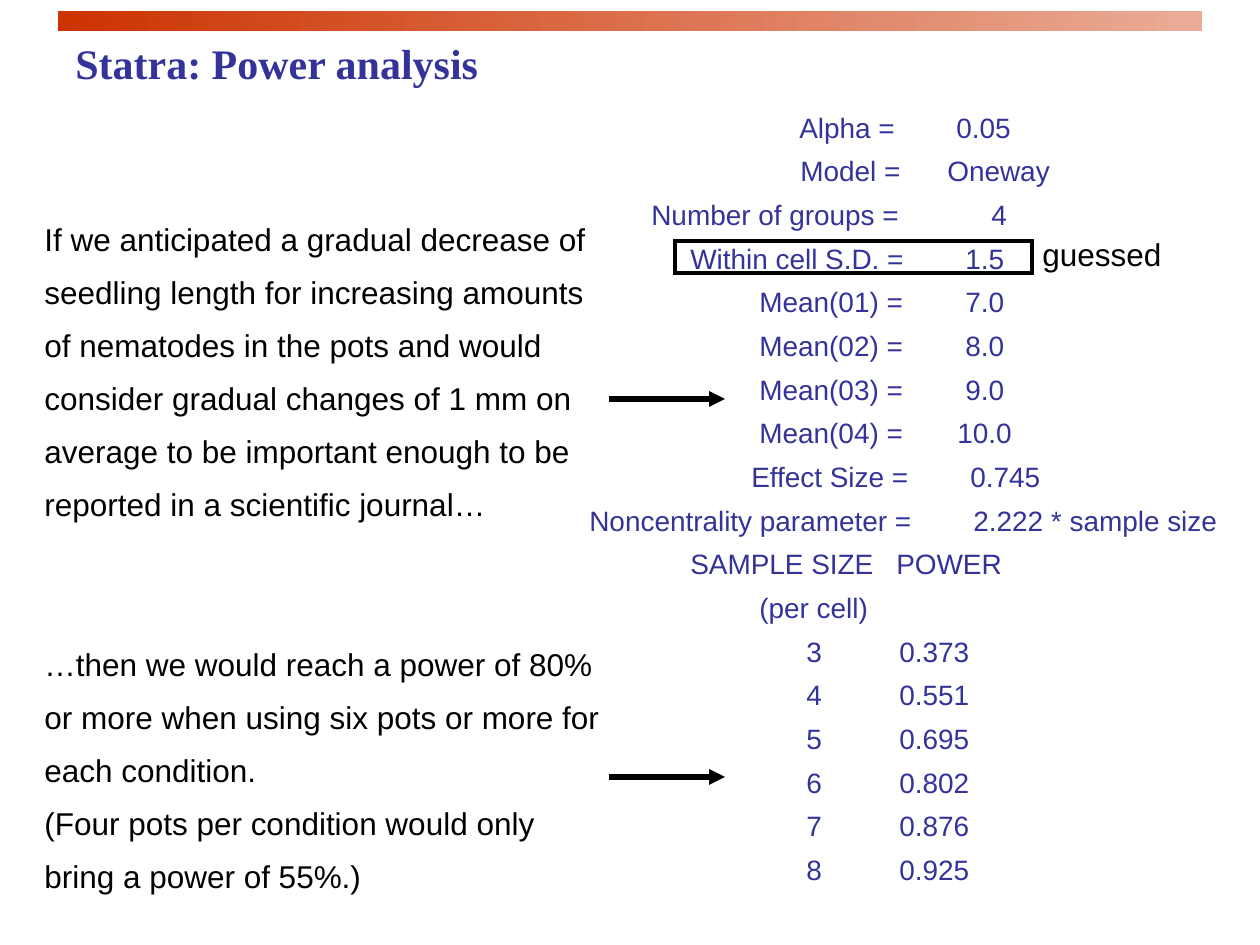
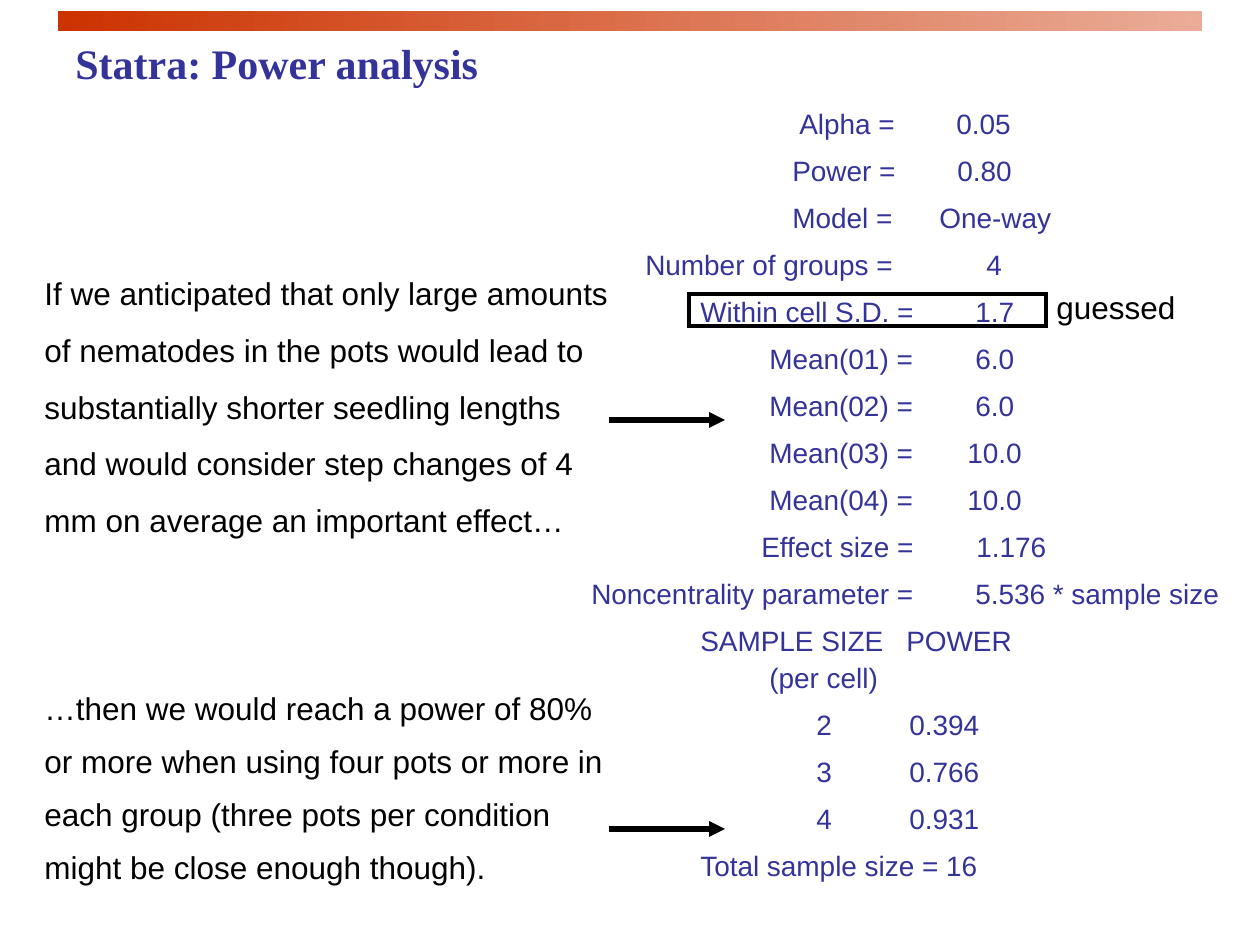
from lxml import etree
from pptx import Presentation
from pptx.dml.color import RGBColor
from pptx.enum import shapes, text
from pptx.oxml import ns
from pptx.util import Pt

EMU_PER_PX = 914400 / 126
INDIGO = "333399"
BLACK = "000000"
BAND_START = "CC3300"
BAND_END = "EAAC97"

MEAN_X = 200
COUNT_X = 247
HEADING_X = 131
POWER_X = 337

GRADUAL = {
    "report_box": (547, 94, 693, 799),
    "spacing": 1.3,
    "rows": [
        ("Alpha =", 240, "0.05", 397),
        ("Model =", 241, "Oneway", 388),
        ("Number of groups =", 92, "4", 432),
        ("Within cell S.D. =", HEADING_X, "1.5", 406),
        ("Mean(01) =", MEAN_X, "7.0", 406),
        ("Mean(02) =", MEAN_X, "8.0", 406),
        ("Mean(03) =", MEAN_X, "9.0", 406),
        ("Mean(04) =", MEAN_X, "10.0", 398),
        ("Effect Size =", 192, "0.745", 411),
        ("Noncentrality parameter =", 30, "2.222 * sample size", 414),
        ("SAMPLE SIZE", HEADING_X, "POWER", POWER_X),
        ("(per cell)", MEAN_X, "", 0),
    ],
    "powers": [("3", "0.373"), ("4", "0.551"), ("5", "0.695"),
               ("6", "0.802"), ("7", "0.876"), ("8", "0.925")],
    "total": [],
    "tight_rows": {},
    "frame_at": (675, 241),
    "notes": [
        ((32, 199, 590, 330), 1.4, 399, [
            "If we anticipated a gradual decrease of seedling length for increasing "
            "amounts of nematodes in the pots and would consider gradual changes of "
            "1 mm on average to be important enough to be reported in a scientific journal…"]),
        ((32, 624, 590, 277), 1.4, 777, [
            "…then we would reach a power of 80% or more when using six pots or more "
            "for each condition.",
            "(Four pots per condition would only bring a power of 55%.)"]),
    ],
}

STEP = {
    "report_box": (557, 87, 683, 801),
    "spacing": 1.4,
    "rows": [
        ("Alpha =", 230, "0.05", 387),
        ("Power =", 223, "0.80", 388),
        ("Model =", 223, "One-way", 370),
        ("Number of groups =", 76, "4", 417),
        ("Within cell S.D. =", HEADING_X, "1.7", 406),
        ("Mean(01) =", MEAN_X, "6.0", 406),
        ("Mean(02) =", MEAN_X, "6.0", 406),
        ("Mean(03) =", MEAN_X, "10.0", 398),
        ("Mean(04) =", MEAN_X, "10.0", 398),
        ("Effect size =", 192, "1.176", 407),
        ("Noncentrality parameter =", 22, "5.536 * sample size", 406),
        ("SAMPLE SIZE", HEADING_X, "POWER", POWER_X),
        ("(per cell)", MEAN_X, "", 0),
    ],
    "powers": [("2", "0.394"), ("3", "0.766"), ("4", "0.931")],
    "total": [("Total sample size = 16", HEADING_X, "", 0)],
    "tight_rows": {"(per cell)": 1.1},
    "frame_at": (689, 294),
    "notes": [
        ((32, 249, 590, 296), 1.5, 420, [
            "If we anticipated that only large amounts of nematodes in the pots would "
            "lead to substantially shorter seedling lengths and would consider step "
            "changes of 4 mm on average an important effect…"]),
        ((32, 668, 590, 224), 1.4, 829, [
            "…then we would reach a power of 80% or more when using four pots or more "
            "in each group (three pots per condition might be close enough though)."]),
    ],
}


def px(*lengths):
    return [round(length * EMU_PER_PX) for length in lengths]


def color(hex_string):
    return RGBColor.from_string(hex_string)


def style(paragraph, size, hex_string, font="Arial", bold=False):
    paragraph.font.size = Pt(size)
    paragraph.font.name = font
    paragraph.font.bold = bold
    paragraph.font.color.rgb = color(hex_string)


def add_text(slide, box, lines, size, hex_string, spacing=1.0,
             font="Arial", bold=False, grow=True):
    shape = slide.shapes.add_textbox(*px(*box))
    frame = shape.text_frame
    frame.text = "\n".join(lines)
    frame.word_wrap = True
    if grow:
        frame.auto_size = text.MSO_AUTO_SIZE.SHAPE_TO_FIT_TEXT
    for paragraph in frame.paragraphs:
        paragraph.line_spacing = spacing
        style(paragraph, size, hex_string, font, bold)
    return frame


def set_tabs(paragraph, positions):
    properties = paragraph._p.get_or_add_pPr()
    tab_list = etree.Element(ns.qn("a:tabLst"))
    for position in px(*positions):
        etree.SubElement(tab_list, ns.qn("a:tab"), pos=str(position), algn="l")
    properties.find(ns.qn("a:defRPr")).addprevious(tab_list)


def add_header(slide):
    band = slide.shapes.add_shape(shapes.MSO_SHAPE.RECTANGLE, *px(58, 11, 1144, 20))
    band.shadow.inherit = False
    band.line.fill.background()
    band.fill.gradient()
    band.fill.gradient_angle = 0
    for stop, hex_string in zip(band.fill.gradient_stops, (BAND_START, BAND_END)):
        stop.color.rgb = color(hex_string)
    add_text(slide, (63, 31, 1134, 105), ["Statra: Power analysis"], 24, INDIGO,
             font="Times New Roman", bold=True, grow=False)


def add_report(slide, analysis):
    power_rows = [(count, COUNT_X, power, 340) for count, power in analysis["powers"]]
    rows = analysis["rows"] + power_rows + analysis["total"]
    lines = [f"\t{label}\t{value}" if value else f"\t{label}"
             for label, _, value, _ in rows]
    frame = add_text(slide, analysis["report_box"], lines, 16, INDIGO, analysis["spacing"])
    for paragraph, (label, label_x, value, value_x) in zip(frame.paragraphs, rows):
        set_tabs(paragraph, [label_x, value_x] if value else [label_x])
        paragraph.line_spacing = analysis["tight_rows"].get(label, analysis["spacing"])


def add_arrow(slide, y):
    arrow = slide.shapes.add_connector(shapes.MSO_CONNECTOR.STRAIGHT, *px(609, y, 725, y))
    arrow.line.color.rgb = color(BLACK)
    arrow.line.width = Pt(3)
    etree.SubElement(arrow.line._get_or_add_ln(), ns.qn("a:tailEnd"), type="triangle")
    etree.SubElement(arrow._element.spPr, ns.qn("a:effectLst"))


def add_guess(slide, left, top):
    frame = slide.shapes.add_shape(shapes.MSO_SHAPE.RECTANGLE, *px(left, top, 357, 32))
    frame.shadow.inherit = False
    frame.fill.background()
    frame.line.color.rgb = color(BLACK)
    frame.line.width = Pt(2.25)
    etree.SubElement(frame.line._get_or_add_ln(), ns.qn("a:miter"), lim="800000")
    add_text(slide, (left + 355, top - 12, 156, 50), ["guessed"], 18, BLACK)


def add_analysis_slide(presentation, analysis):
    slide = presentation.slides.add_slide(presentation.slide_layouts[6])
    add_header(slide)
    add_report(slide, analysis)
    for box, spacing, arrow_y, paragraphs in analysis["notes"]:
        add_text(slide, box, paragraphs, 18, BLACK, spacing)
        add_arrow(slide, arrow_y)
    add_guess(slide, *analysis["frame_at"])


def main():
    presentation = Presentation()
    presentation.slide_width, presentation.slide_height = px(1260, 945)
    for analysis in (GRADUAL, STEP):
        add_analysis_slide(presentation, analysis)
    presentation.save("out.pptx")


if __name__ == "__main__":
    main()
